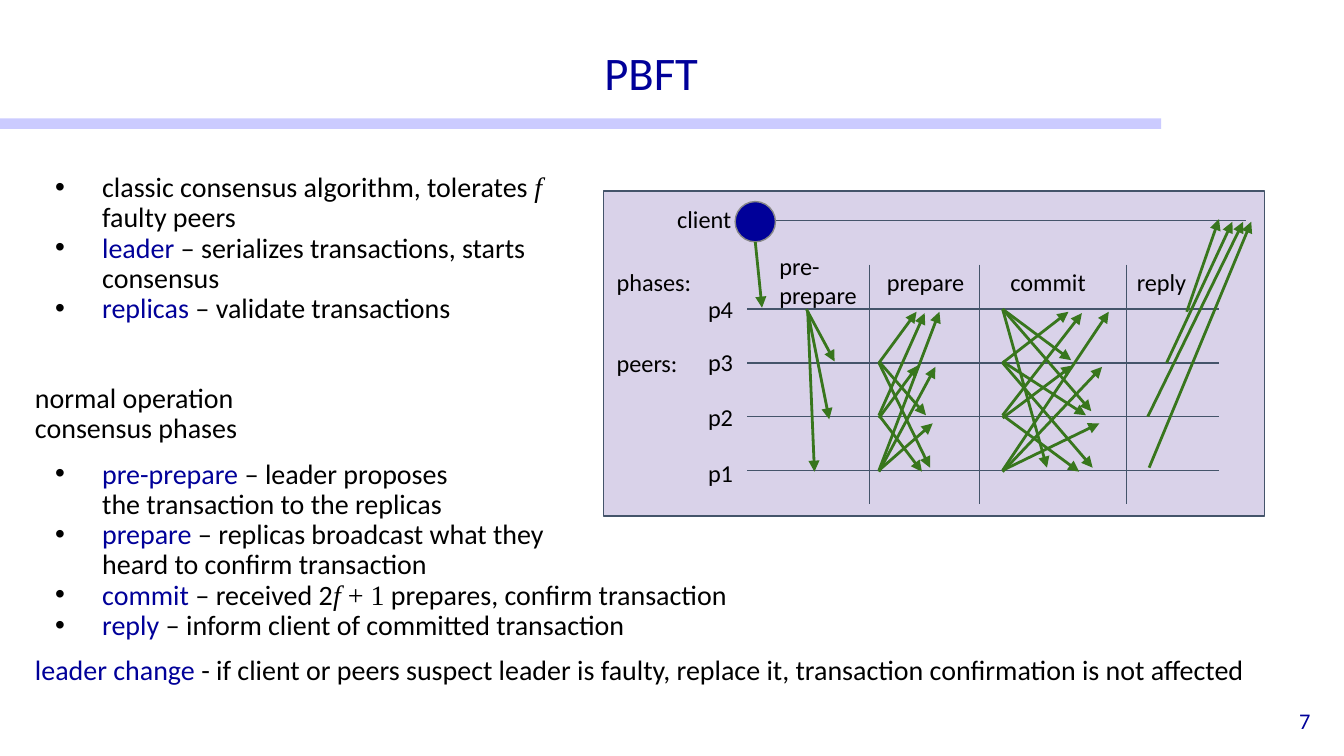
import pptx
import pptx.dml.color
import pptx.enum.shapes
import pptx.enum.text
import pptx.oxml
import pptx.oxml.ns
import pptx.util
import lxml.etree

EMU_PER_PX = 9144
NAVY, BLACK, SLATE, GREEN = "000099", "000000", "44546A", "38761D"
ANCHOR = pptx.enum.text.MSO_ANCHOR
ALIGN = pptx.enum.text.PP_ALIGN
SHAPE = pptx.enum.shapes.MSO_SHAPE
SPAN_STYLES = {
    "plain": ("Calibri", BLACK, False),
    "key": ("Calibri", NAVY, False),
    "variable": ("Times New Roman", BLACK, True),
    "formula": ("Times New Roman", BLACK, False),
}


def px(*lengths):
    return [pptx.util.Emu(length * EMU_PER_PX) for length in lengths]


def color(value):
    return pptx.dml.color.RGBColor.from_string(value)


def add_xml(parent, tag, **attributes):
    return lxml.etree.SubElement(parent, pptx.oxml.ns.qn(tag), attributes)


class Page:
    font = "Calibri"

    def __init__(self, deck):
        self.slide = deck.slides.add_slide(deck.slide_layouts[5])
        self.shapes = self.slide.shapes

    def style(self, para, size, ink, align=None):
        para.alignment = align
        para.font.name = self.font
        para.font.size = pptx.util.Pt(size)
        para.font.color.rgb = color(ink)

    def frame(self, box, insets, anchor=ANCHOR.TOP):
        frame = box.text_frame
        frame.word_wrap = True
        frame.vertical_anchor = anchor
        frame.margin_left, frame.margin_top = px(*insets)
        frame.margin_right, frame.margin_bottom = px(*insets)
        return frame

    def title(self, text, place):
        box = self.shapes.title
        box.left, box.top, box.width, box.height = px(*place)
        frame = self.frame(box, (7, 4), ANCHOR.BOTTOM)
        frame.text = text
        frame.paragraphs[0].line_spacing = 0.9
        self.style(frame.paragraphs[0], 25, NAVY, ALIGN.CENTER)

    def text(self, text, place, size=13, ink=BLACK, insets=(10, 10), anchor=ANCHOR.TOP, align=None):
        frame = self.frame(self.shapes.add_textbox(*px(*place)), insets, anchor)
        frame.text = text
        for para in frame.paragraphs:
            self.style(para, size, ink, align)

    def body(self, paragraphs, place):
        frame = self.frame(self.shapes.add_textbox(*px(*place)), (7, 4))
        for index, (bulleted, space, spans) in enumerate(paragraphs):
            para = frame.add_paragraph() if index else frame.paragraphs[0]
            para.line_spacing = 0.9
            para.space_before = pptx.util.Pt(space)
            if bulleted:
                self.bullet(para)
            para.font.size = pptx.util.Pt(15)
            for text, kind in spans:
                self.span(para, text, kind)

    def bullet(self, para):
        margin, indent = px(50, -35)
        properties = para._p.get_or_add_pPr()
        properties.set("marL", str(margin))
        properties.set("indent", str(indent))
        add_xml(add_xml(properties, "a:buClr"), "a:srgbClr", val=BLACK)
        add_xml(properties, "a:buFont", typeface="Arial")
        add_xml(properties, "a:buChar", char="•")

    def span(self, para, text, kind):
        name, ink, italic = SPAN_STYLES[kind]
        for index, line in enumerate(text.split("\n")):
            if index:
                para.add_line_break()
            if line:
                span = para.add_run()
                span.text = line
                span.font.name = name
                span.font.color.rgb = color(ink)
                span.font.italic = italic

    def shape(self, kind, place, fill, line=None, opacity=None):
        shape = self.shapes.add_shape(kind, *px(*place))
        shape.shadow.inherit = False
        shape.fill.solid()
        shape.fill.fore_color.rgb = color(fill)
        if opacity:
            tint = shape._element.spPr.find(".//" + pptx.oxml.ns.qn("a:srgbClr"))
            add_xml(tint, "a:alpha", val=str(opacity * 1000))
        if line:
            shape.line.color.rgb = color(line)
            shape.line.width = pptx.util.Pt(0.75)
        else:
            shape.line.fill.background()

    def line(self, x1, y1, x2, y2, ink=SLATE, width=0.75):
        straight = pptx.enum.shapes.MSO_CONNECTOR.STRAIGHT
        line = self.shapes.add_connector(straight, *px(x1, y1, x2, y2))
        line.line.color.rgb = color(ink)
        line.line.width = pptx.util.Pt(width)
        add_xml(line._element.spPr, "a:effectLst")
        return line

    def arrow(self, x1, y1, x2, y2):
        arrow = self.line(x1, y1, x2, y2, GREEN, 1.5)
        add_xml(arrow._element.spPr.get_or_add_ln(), "a:tailEnd", type="triangle")


BODY = [
    (True, 8, [("classic consensus algorithm, tolerates ", "plain"), ("f \n", "variable"),
               ("faulty peers", "plain")]),
    (True, 0, [("leader", "key"), (" ‒ serializes transactions, starts\nconsensus", "plain")]),
    (True, 0, [("replicas", "key"), (" ‒ validate transactions", "plain")]),
    (False, 32, [("normal operation\nconsensus phases", "plain")]),
    (True, 8, [("pre-prepare", "key"),
               (" ‒ leader proposes \nthe transaction to the replicas", "plain")]),
    (True, 0, [("prepare", "key"),
               (" ‒ replicas broadcast what they\nheard to confirm transaction", "plain")]),
    (True, 0, [("commit", "key"), (" ‒ received 2", "plain"), ("f", "variable"),
               (" + 1", "formula"), (" prepares, confirm transaction", "plain")]),
    (True, 0, [("reply", "key"), (" ‒ inform client of committed transaction", "plain")]),
    (False, 8, [("leader change", "key"),
                (" - if client or peers suspect leader is faulty, replace it, "
                 "transaction confirmation is not affected", "plain")]),
]
PEER_LABEL_TOPS = {"p4": 209, "p3": 248, "p2": 289, "p1": 331}
LABELS = [
    ("client", (494, 142, 62, 42)), ("phases:", (449, 189, 115, 42)),
    ("peers:", (449, 249, 115, 42)), ("pre-\nprepare", (570, 177, 115, 64)),
    ("prepare", (650, 189, 102, 42)), ("commit", (742, 189, 102, 42)),
    ("reply", (836, 189, 62, 42)),
]
PREPARE_X, COMMIT_X = 654, 746
BROADCASTS = [
    (270, 232, 682, 795), (309, 233, 688, 805), (350, 232, 699, 825),
    (269, 309, 689, 808), (270, 348, 692, 813), (309, 351, 686, 803),
    (311, 272, 683, 798), (351, 273, 696, 820), (350, 315, 694, 818),
]
PRE_PREPARES = [(562, 180, 567, 229), (600, 230, 621, 269), (601, 232, 617, 312), (601, 232, 606, 351)]
LEADER_COMMITS = [(797, 268), (812, 306), (779, 348)]
REPLIES = [(883, 232, 907, 163), (868, 270, 917, 165), (854, 310, 925, 165), (855, 348, 931, 165)]


def draw_phases(page):
    page.shape(SHAPE.RECTANGLE, (449, 142, 492, 242), "D9D2E9", SLATE)
    page.line(564, 164, 927, 164)
    page.shape(SHAPE.OVAL, (547, 150, 30, 30), NAVY, "888888")
    for row, (peer, top) in enumerate(PEER_LABEL_TOPS.items()):
        y = 230 + 40 * row
        page.line(556, y, 907, y)
        page.text(peer, (517, top, 40, 42))
    for ends in PRE_PREPARES + REPLIES:
        page.arrow(*ends)
    for start, end, prepare_end, commit_end in BROADCASTS:
        page.arrow(PREPARE_X, start, prepare_end, end)
        page.arrow(COMMIT_X, start, commit_end, end)
    for x, y in LEADER_COMMITS:
        page.arrow(COMMIT_X, 230, x, y)
    for x in (647, 729, 838):
        page.line(x, 197, x, 375)
    for text, place in LABELS:
        page.text(text, place)


def main():
    deck = pptx.Presentation()
    deck.slide_width = px(1000)[0]
    deck.slide_height = deck.slide_width * 9 // 16
    page = Page(deck)
    page.shape(SHAPE.RECTANGLE, (0, 88, 864, 8), "9999FF", opacity=50)
    page.body(BODY, (19, 125, 931, 427))
    page.title("PBFT", (176, 5, 617, 74))
    page.text("7", (757, 521, 225, 30), 12, NAVY, (7, 4), ANCHOR.MIDDLE, ALIGN.RIGHT)
    draw_phases(page)
    deck.save("out.pptx")


if __name__ == "__main__":
    main()
